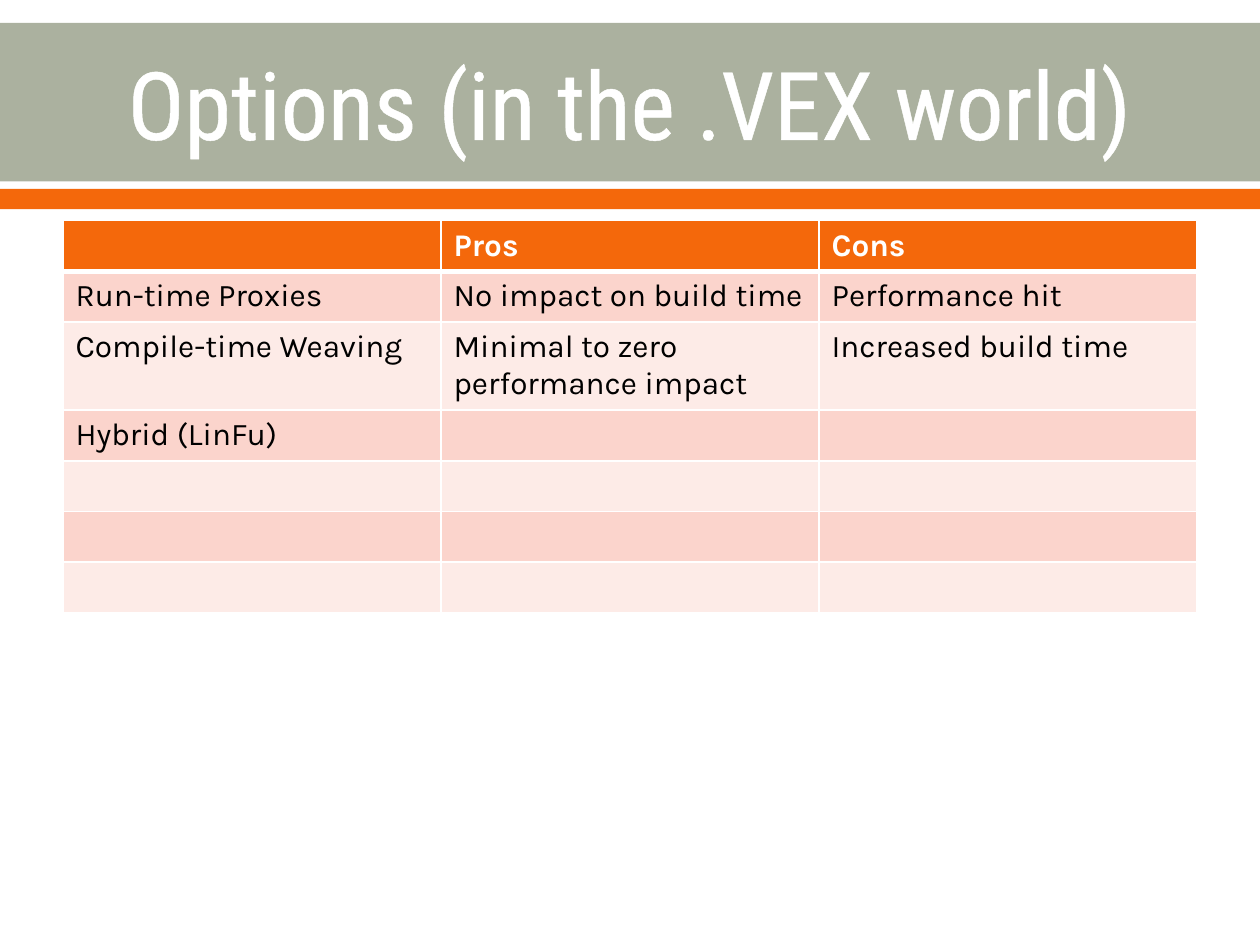
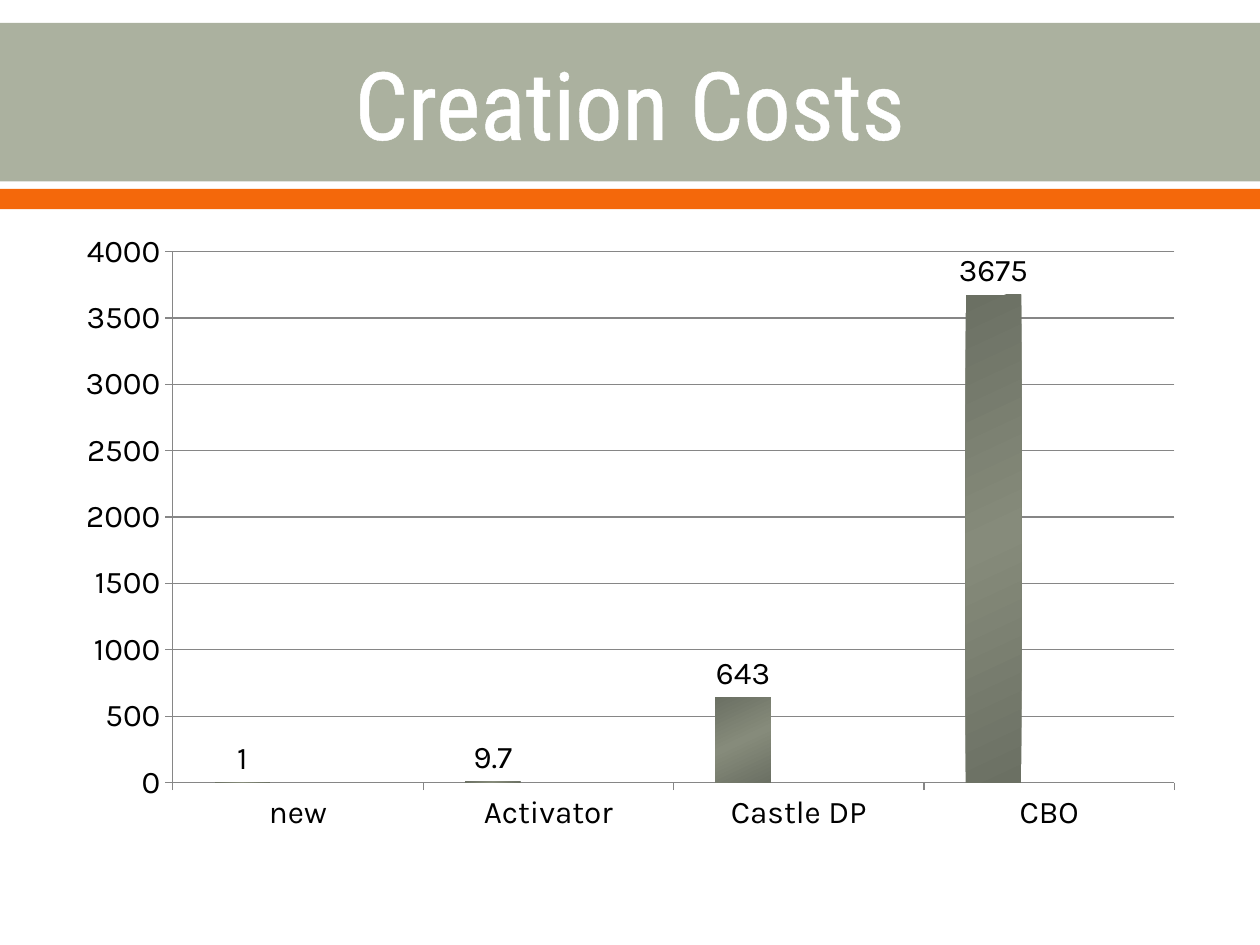
from dataclasses import dataclass

from lxml import etree
from pptx import Presentation
from pptx.chart.data import CategoryChartData
from pptx.dml.color import RGBColor
from pptx.enum.chart import XL_CHART_TYPE, XL_LABEL_POSITION, XL_TICK_MARK
from pptx.enum.shapes import MSO_SHAPE
from pptx.enum.text import MSO_ANCHOR, PP_ALIGN
from pptx.oxml import parse_xml
from pptx.oxml.ns import nsdecls, qn
from pptx.util import Cm, Pt

BAR = XL_CHART_TYPE.COLUMN_CLUSTERED
ABOVE = XL_LABEL_POSITION.OUTSIDE_END
TICK = XL_TICK_MARK.OUTSIDE
NONE = XL_TICK_MARK.NONE
RECT = MSO_SHAPE.RECTANGLE
MID = MSO_ANCHOR.MIDDLE
LEFT = PP_ALIGN.LEFT
CENTER = PP_ALIGN.CENTER

SAGE, FIRE, WHITE, BLACK = "ABB19F", "F4680B", "FFFFFF", "000000"
ROSE, PALE, GRID = "FBD4CC", "FDEBE7", "868686"
DARK, LIGHT = "6B7063", "868B7B"
HEAD, BODY = "Roboto Condensed", "Karla"


@dataclass
class Box:
    left: float
    top: float
    width: float
    height: float

    def place(self) -> list:
        return [Cm(v) for v in (self.left, self.top, self.width, self.height)]


@dataclass
class Band:
    box: Box
    color: str


BANDS = [
    Band(Box(0, 0.46, 25.4, 3.2), SAGE),
    Band(Box(0, 3.81, 25.4, 0.41), FIRE),
]
TITLE = Box(1.27, 0.51, 22.86, 3.1)
TABLE = Box(1.27, 4.45, 22.86, 7.14)
CHART = Box(1.27, 4.45, 22.86, 12.57)

ROWS = [
    ("", "Pros", "Cons"),
    ("Run-time Proxies", "No impact on build time", "Performance hit"),
    ("Compile-time Weaving", "Minimal to zero performance impact",
     "Increased build time"),
    ("Hybrid (LinFu)", "", ""),
] + [("", "", "")] * 3

COSTS = {"new": 1, "Activator": 9.7, "Castle DP": 643, "CBO": 3675}


def color(code: str) -> RGBColor:
    return RGBColor.from_string(code)


def paint(item, code: str) -> None:
    item.fill.solid()
    item.fill.fore_color.rgb = color(code)


def line(tag: str, width: float, code: str = WHITE):
    return parse_xml(
        f'<a:{tag} {nsdecls("a")} w="{Pt(width)}"><a:solidFill>'
        f'<a:srgbClr val="{code}"/></a:solidFill></a:{tag}>')


def write(frame, text: str, *, size: float = 18, font: str = BODY,
          code: str = BLACK, bold: bool = False, align=LEFT,
          edge: float = 0) -> None:
    para = frame.paragraphs[0]
    para.alignment = align
    run = para.add_run()
    run.text = text
    run.font.size = Pt(size)
    run.font.name = font
    run.font.bold = bold
    run.font.color.rgb = color(code)
    if edge:
        run.font._element.insert(0, line("ln", edge, code))


def start(deck, title: str):
    slide = deck.slides.add_slide(deck.slide_layouts[6])
    for band in BANDS:
        shape = slide.shapes.add_shape(RECT, *band.box.place())
        shape.shadow.inherit = False
        shape.line.fill.background()
        paint(shape, band.color)
    frame = slide.shapes.add_textbox(*TITLE.place()).text_frame
    frame.word_wrap = True
    frame.vertical_anchor = MID
    write(frame, title, size=54, font=HEAD, code=WHITE, align=CENTER, edge=1.1)
    return slide


def border(cell, row: int) -> None:
    props = cell._tc.get_or_add_tcPr()
    top = 3 if row == 1 else 1
    base = 3 if row == 0 else 1
    for tag, width in (("lnL", 1), ("lnR", 1), ("lnT", top), ("lnB", base)):
        props.append(line(tag, width))


def add_grid(slide) -> None:
    table = slide.shapes.add_table(
        len(ROWS), len(ROWS[0]), *TABLE.place()).table
    table.horz_banding = False
    for row, texts in enumerate(ROWS):
        head = row == 0
        fill = FIRE if head else ROSE if row % 2 else PALE
        for col, text in enumerate(texts):
            cell = table.cell(row, col)
            border(cell, row)
            paint(cell, fill)
            if text:
                write(cell.text_frame, text, bold=head,
                      code=WHITE if head else BLACK)


def shade(series) -> None:
    series.format.fill.gradient()
    series.format.fill.gradient_angle = 295
    stops = series.format.fill._xPr.find(qn("a:gradFill")).find(qn("a:gsLst"))
    for stop in list(stops):
        stops.remove(stop)
    for pos, code in ((0, DARK), (50, LIGHT), (100, DARK)):
        stop = etree.SubElement(stops, qn("a:gs"), pos=str(pos * 1000))
        etree.SubElement(stop, qn("a:srgbClr"), val=code)


def add_bars(slide) -> None:
    data = CategoryChartData()
    data.categories = list(COSTS)
    data.add_series("Series 1", list(COSTS.values()))
    for num in (2, 3):
        data.add_series(f"Series {num}", [None] * len(COSTS))
    chart = slide.shapes.add_chart(BAR, *CHART.place(), data).chart
    chart.has_title = chart.has_legend = False
    chart.font.size = Pt(18)
    chart.font.name = BODY
    chart.font.color.rgb = color(BLACK)

    plot = chart.plots[0]
    plot.gap_width = 150
    plot.overlap = 0
    plot.vary_by_categories = False
    plot.has_data_labels = True
    plot.data_labels.show_value = True
    plot.data_labels.position = ABOVE
    for series in plot.series:
        shade(series)

    values = chart.value_axis
    values.minimum_scale, values.maximum_scale = 0, 4000
    values.major_unit = 500
    values.has_major_gridlines = True
    axes = (chart.category_axis, values)
    for axis in axes:
        axis.major_tick_mark = TICK
        axis.minor_tick_mark = NONE
    for item in (*axes, values.major_gridlines):
        item.format.line.color.rgb = color(GRID)
        item.format.line.width = Pt(0.75)


def main() -> None:
    deck = Presentation()
    deck.slide_width, deck.slide_height = Cm(25.4), Cm(19.05)
    add_grid(start(deck, "Options (in the .VEX world)"))
    add_bars(start(deck, "Creation Costs"))
    deck.save("out.pptx")


if __name__ == "__main__":
    main()
